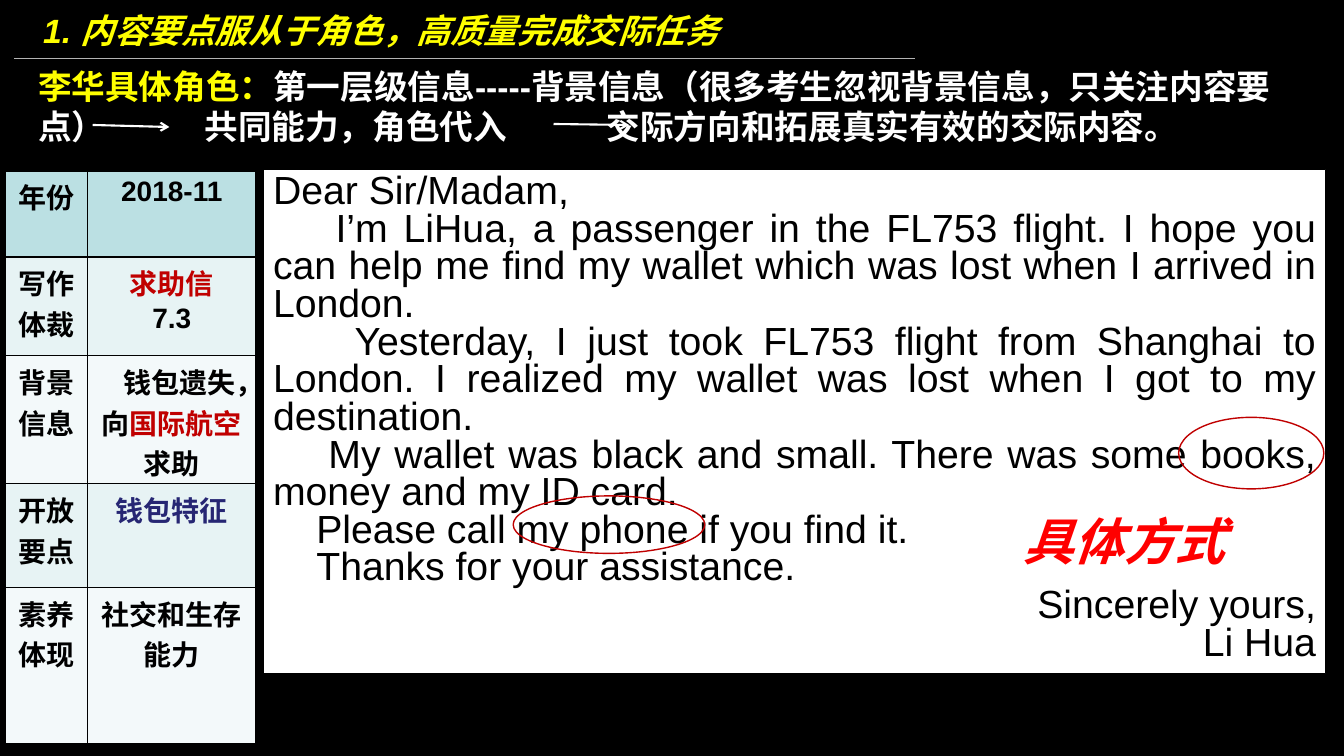
from dataclasses import dataclass

from lxml import etree
from pptx import Presentation, util as u
from pptx.dml.color import RGBColor
from pptx.enum import shapes, text
from pptx.oxml import ns

PX = 9144  # 100 px to the inch
FONT = "Arial"
COLORS = {
    "black": "000000", "white": "FFFFFF", "yellow": "FFFF00", "red": "FF0000",
    "crimson": "C00000", "navy": "262673", "gray": "B3B3B3",
    "head": "BBE0E3", "band": "E7F3F4", "pale": "F3F9FA",
}
LEFT, CENTER, RIGHT, JUSTIFY = (
    text.PP_ALIGN.LEFT, text.PP_ALIGN.CENTER, text.PP_ALIGN.RIGHT, text.PP_ALIGN.JUSTIFY)


@dataclass
class Span:
    words: str
    color: str = "black"


@dataclass
class Para:
    spans: list[Span]
    align: text.PP_ALIGN = LEFT
    indent: int = 0
    tabs: tuple[int, ...] = ()


@dataclass
class Box:
    left: int
    top: int
    width: int
    height: int
    preset: shapes.MSO_SHAPE = shapes.MSO_SHAPE.RECTANGLE
    fill: str | None = None
    line: str | None = None


@dataclass
class Stroke:
    start: tuple[int, int]
    end: tuple[int, int]
    color: str
    weight: float
    arrow: bool = False


def px(length: int) -> u.Emu:
    return u.Emu(length * PX)


def rgb(name: str) -> RGBColor:
    return RGBColor.from_string(COLORS[name])


def write(frame, paras: list[Para], *, size: int, bold: bool = False,
          italic: bool = False, spacing: float | None = None) -> None:
    frame.word_wrap = True
    for index, item in enumerate(paras):
        para = frame.paragraphs[0] if index == 0 else frame.add_paragraph()
        para.alignment = item.align
        if spacing:
            para.line_spacing = spacing
        props = para._p.get_or_add_pPr()
        if item.indent:
            props.set("marL", "0")
            props.set("indent", str(px(item.indent)))
        if item.tabs:
            stops = etree.SubElement(props, ns.qn("a:tabLst"))
            for stop in item.tabs:
                etree.SubElement(stops, ns.qn("a:tab"), pos=str(px(stop)), algn="l")
        for part in item.spans:
            span = para.add_run()
            span.text = part.words
            span.font.name, span.font.size = FONT, u.Pt(size)
            span.font.bold, span.font.italic = bold, italic
            span.font.color.rgb = rgb(part.color)


def draw_box(page, box: Box):
    shape = page.shapes.add_shape(
        box.preset, px(box.left), px(box.top), px(box.width), px(box.height))
    shape.shadow.inherit = False
    if box.fill:
        shape.fill.solid()
        shape.fill.fore_color.rgb = rgb(box.fill)
    else:
        shape.fill.background()
    if box.line:
        shape.line.color.rgb = rgb(box.line)
        shape.line.width = u.Pt(1)
    else:
        shape.line.fill.background()
    shape.text_frame.vertical_anchor = text.MSO_ANCHOR.TOP
    return shape


def draw_stroke(page, stroke: Stroke) -> None:
    line = page.shapes.add_connector(
        shapes.MSO_CONNECTOR.STRAIGHT, *map(px, stroke.start + stroke.end))
    line.line.color.rgb = rgb(stroke.color)
    line.line.width = u.Pt(stroke.weight)
    if stroke.arrow:
        etree.SubElement(line.line._get_or_add_ln(), ns.qn("a:tailEnd"), type="arrow")
    etree.SubElement(line._element.spPr, ns.qn("a:effectLst"))


def fill_cell(cell, paras: list[Para], color: str) -> None:
    write(cell.text_frame, paras, size=20, bold=True)
    props = cell._tc.get_or_add_tcPr()
    for side in ("lnL", "lnR", "lnT", "lnB"):
        border = etree.SubElement(props, ns.qn(f"a:{side}"), w=str(u.Pt(1)))
        solid = etree.SubElement(border, ns.qn("a:solidFill"))
        etree.SubElement(solid, ns.qn("a:srgbClr"), val=COLORS["black"])
    cell.fill.solid()
    cell.fill.fore_color.rgb = rgb(color)


def centered(*spans: Span, indent: int = 0) -> Para:
    return Para(list(spans), CENTER, indent)


# Table content: row height, label, paragraphs
ROWS = [
    (85, "年份", [centered(Span("2018-11"))]),
    (98, "写作体裁", [centered(Span("求助信", "crimson")), centered(Span("7.3"))]),
    (127, "背景信息", [centered(Span("钱包遗失，向"), Span("国际航空", "crimson"),
                            Span("求助"), indent=15)]),
    (103, "开放要点", [centered(Span("钱包特征", "navy"))]),
    (155, "素养体现", [centered(Span("社交和生存能力"))]),
]
COLUMNS = (82, 167)

# Letter: words, alignment, first-line indent
LETTER = [
    ("Dear Sir/Madam,", JUSTIFY, 0),
    ("I’m LiHua, a passenger in the FL753 flight. I hope you can help me find my "
     "wallet which was lost when I arrived in London.", JUSTIFY, 62),
    ("Yesterday, I just took FL753 flight from Shanghai to London. I realized my "
     "wallet was lost when I got to my destination.", JUSTIFY, 81),
    ("My wallet was black and small. There was some books, money and my ID card.",
     JUSTIFY, 55),
    ("Please call my phone if you find it.", JUSTIFY, 43),
    ("Thanks for your assistance.", JUSTIFY, 43),
    ("Sincerely yours,", RIGHT, 0),
    ("Li Hua", RIGHT, 0),
]
STROKES = [
    Stroke((92, 124), (168, 126), "white", 1.5, arrow=True),
    Stroke((549, 123), (624, 124), "white", 1.5, arrow=True),
    Stroke((14, 58), (908, 58), "gray", 0.5),
]
OVAL = shapes.MSO_SHAPE.OVAL
RINGS = [
    Box(1169, 414, 144, 71, OVAL, line="crimson"),
    Box(509, 492, 190, 57, OVAL, line="crimson"),
]


def main() -> None:
    deck = Presentation()
    deck.slide_width, deck.slide_height = px(1333), px(750)
    page = deck.slides.add_slide(deck.slide_layouts[6])
    page.background.fill.solid()
    page.background.fill.fore_color.rgb = rgb("black")

    # Title and role summary
    title = page.shapes.add_textbox(px(33), px(5), px(818), px(50))
    write(title.text_frame,
          [Para([Span("1. 内容要点服从于角色，高质量完成交际任务", "yellow")])],
          size=24, bold=True, italic=True)
    summary = draw_box(page, Box(28, 60, 1280, 91))
    write(summary.text_frame, [Para([
        Span("李华具体角色：", "yellow"),
        Span("第一层级信息-----背景信息（很多考生忽视背景信息，只关注内容要点）"
             "\t共同能力，角色代入\t交际方向和拓展真实有效的交际内容。", "white"),
    ], tabs=(165, 564))], size=24, bold=True)
    for stroke in STROKES:
        draw_stroke(page, stroke)

    # Task table
    table = page.shapes.add_table(
        len(ROWS), len(COLUMNS), px(5), px(170), px(sum(COLUMNS)),
        px(sum(row[0] for row in ROWS))).table
    for column, width in zip(table.columns, COLUMNS):
        column.width = px(width)
    for index, (height, label, paras) in enumerate(ROWS):
        table.rows[index].height = px(height)
        color = "head" if index == 0 else ("pale", "band")[index % 2]
        fill_cell(table.cell(index, 0), [centered(Span(label))], color)
        fill_cell(table.cell(index, 1), paras, color)

    # Sample letter with marked phrases
    letter = draw_box(page, Box(261, 168, 1054, 500, fill="white", line="black"))
    write(letter.text_frame,
          [Para([Span(words)], align, indent) for words, align, indent in LETTER],
          size=28, spacing=0.8)
    for ring in RINGS:
        draw_box(page, ring)
    remark = draw_box(page, Box(1005, 501, 273, 70, fill="white"))
    write(remark.text_frame, [Para([Span("具体方式", "red")])],
          size=36, bold=True, italic=True)

    deck.save("out.pptx")


if __name__ == "__main__":
    main()
